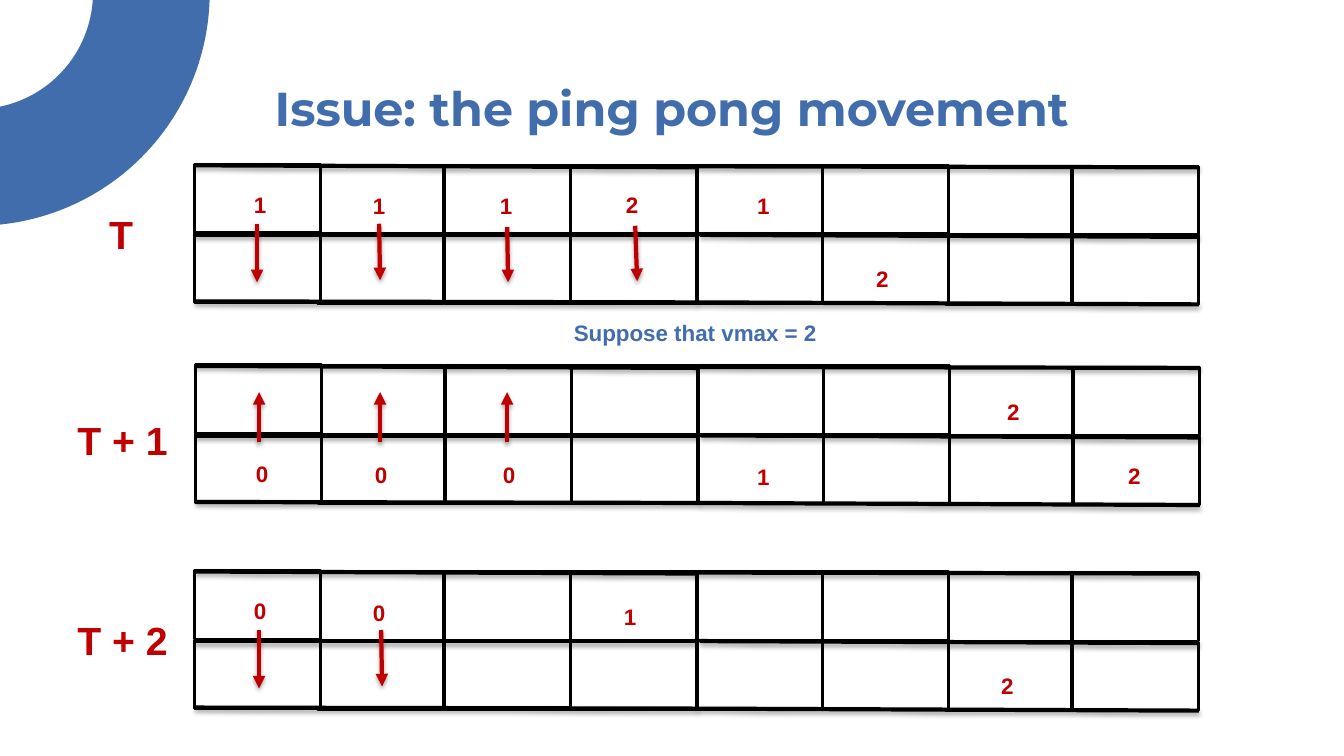
"""Build the slide on the ping pong movement of a two-lane traffic grid."""
import pptx
import pptx.dml.color
import pptx.enum.shapes
import pptx.enum.text
import pptx.oxml
import pptx.oxml.ns
import pptx.util

Inches = pptx.util.Inches
SHAPE = pptx.enum.shapes.MSO_SHAPE
ALIGN = pptx.enum.text.PP_ALIGN
ANCHOR = pptx.enum.text.MSO_ANCHOR

THEME = {
    "blue": "416DAC", "red": "C00000", "black": "000000", "white": "FFFFFF",
    "title_font": "Montserrat", "body_font": "Arial",
    "title_size": 34, "step_size": 28, "body_size": 16,
    "cell_line": 2, "heavy_line": 3,
}

TITLE = ("Issue: the ping pong movement", (1.05, 0.65, 11.23, 0.84))
NOTE = ("Suppose that vmax = 2", (5.54, 3.12, 2.71, 0.37))

STEPS = [
    {"label": "T", "label_box": (0.76, 2.04, 0.88, 0.57), "origin": (1.93, 1.64),
     "speeds": [("1", 2.42, 1.85), ("1", 3.6, 1.86), ("1", 4.86, 1.86),
                ("2", 6.11, 1.85), ("1", 7.41, 1.86), ("2", 8.59, 2.58)],
     "moves": [(2.55, 2.22, 2.55, 2.8), (3.76, 2.22, 3.77, 2.78),
               (5.03, 2.25, 5.04, 2.8), (6.3, 2.24, 6.32, 2.79)]},
    {"label": "T + 1", "label_box": (0.59, 4.08, 1.25, 0.57), "origin": (1.94, 3.63),
     "speeds": [("0", 2.44, 4.52), ("0", 3.62, 4.53), ("0", 4.89, 4.53),
                ("1", 7.41, 4.55), ("2", 9.89, 3.9), ("2", 11.09, 4.54)],
     "moves": [(x, 4.39, x, 3.89) for x in (2.57, 3.77, 5.03)]},
    {"label": "T + 2", "label_box": (0.59, 6.07, 1.25, 0.57), "origin": (1.93, 5.67),
     "speeds": [("0", 2.42, 5.88), ("0", 3.6, 5.89), ("1", 6.09, 5.93), ("2", 9.83, 6.62)],
     "moves": [(2.57, 6.25, 2.57, 6.83), (3.78, 6.25, 3.79, 6.81)]},
]

CELL_WIDTH, CELL_HEIGHT, LANE_PITCH = 1.25, 0.68, 0.69
COLUMN_LEFTS = (0, 1.22, 2.48, 3.73, 4.99, 6.23, 7.45, 8.71)
COLUMN_DROPS = (-0.01, 0, 0, 0, 0, 0, 0.01, 0.01)
HALVES = [
    {"columns": (2, 3, 1, 0),
     "rules": [(0, 0, 4.99, 0.02), (0, 0.69, 4.99, 0.69), (0, 1.35, 4.99, 1.36)]},
    {"columns": (4, 7, 6, 5),
     "rules": [(4.97, 0.01, 9.96, 0.02), (5.01, 0.69, 9.96, 0.71), (4.99, 1.36, 9.96, 1.38)]},
]
SPEED_SIZE = (0.32, 0.37)


def color(name):
    return pptx.dml.color.RGBColor.from_string(THEME[name])


def add_text(page, text, place, size, ink, font="body_font", align=ALIGN.CENTER, wrap=True):
    box = page.shapes.add_textbox(*map(Inches, place))
    frame = box.text_frame
    frame.text = text
    frame.word_wrap = wrap
    frame.paragraphs[0].alignment = align
    span = frame.paragraphs[0].runs[0]
    span.font.name = THEME[font]
    span.font.size = pptx.util.Pt(THEME[size])
    span.font.bold = True
    span.font.color.rgb = color(ink)
    return frame


def add_line(page, ends, ink, arrow=False):
    line = page.shapes.add_connector(
        pptx.enum.shapes.MSO_CONNECTOR.STRAIGHT, *map(Inches, ends))
    line.line.color.rgb = color(ink)
    line.line.width = pptx.util.Pt(THEME["heavy_line"])
    if arrow:
        line.line._get_or_add_ln().append(pptx.oxml.parse_xml(
            f'<a:tailEnd {pptx.oxml.ns.nsdecls("a")} type="triangle"/>'))
    line._element.spPr.append(pptx.oxml.parse_xml(
        f'<a:effectLst {pptx.oxml.ns.nsdecls("a")}>'
        '<a:outerShdw blurRad="40000" dist="23000" dir="5400000" rotWithShape="0">'
        f'<a:srgbClr val="{THEME["black"]}"><a:alpha val="35000"/></a:srgbClr>'
        '</a:outerShdw></a:effectLst>'))


def add_cell(page, left, top):
    cell = page.shapes.add_shape(
        SHAPE.RECTANGLE, *map(Inches, (left, top, CELL_WIDTH, CELL_HEIGHT)))
    cell.shadow.inherit = False
    cell.fill.solid()
    cell.fill.fore_color.rgb = color("white")
    cell.line.color.rgb = color("black")
    cell.line.width = pptx.util.Pt(THEME["cell_line"])


def add_road(page, left, top):
    for half in HALVES:
        for lane in (1, 0):
            for column in half["columns"]:
                add_cell(page, left + COLUMN_LEFTS[column],
                         top + lane * LANE_PITCH + COLUMN_DROPS[column])
        for x1, y1, x2, y2 in half["rules"]:
            add_line(page, (left + x1, top + y1, left + x2, top + y2), "black")


def add_corner_arc(page):
    arc = page.shapes.add_shape(
        SHAPE.BLOCK_ARC, *map(Inches, (-2.55, -2.39, 4.63, 4.63)))
    arc.adjustments[0] = 0
    arc.adjustments[1] = 54
    arc.adjustments[2] = 0.25
    arc.shadow.inherit = False
    arc.fill.solid()
    arc.fill.fore_color.rgb = color("blue")
    arc.line.fill.background()


def main():
    deck = pptx.Presentation()
    deck.slide_width, deck.slide_height = Inches(13.33), Inches(7.5)
    page = deck.slides.add_slide(deck.slide_layouts[6])

    add_corner_arc(page)
    title = add_text(page, *TITLE, "title_size", "blue", "title_font")
    title.vertical_anchor = ANCHOR.MIDDLE
    title.margin_top = title.margin_bottom = Inches(0.1)

    for step in STEPS:
        add_road(page, *step["origin"])
        add_text(page, step["label"], step["label_box"], "step_size", "red")
        for speed, left, top in step["speeds"]:
            add_text(page, speed, (left, top, *SPEED_SIZE), "body_size", "red",
                     align=ALIGN.LEFT, wrap=False)
        for move in step["moves"]:
            add_line(page, move, "red", arrow=True)
    add_text(page, *NOTE, "body_size", "blue")

    deck.save("out.pptx")


if __name__ == "__main__":
    main()
